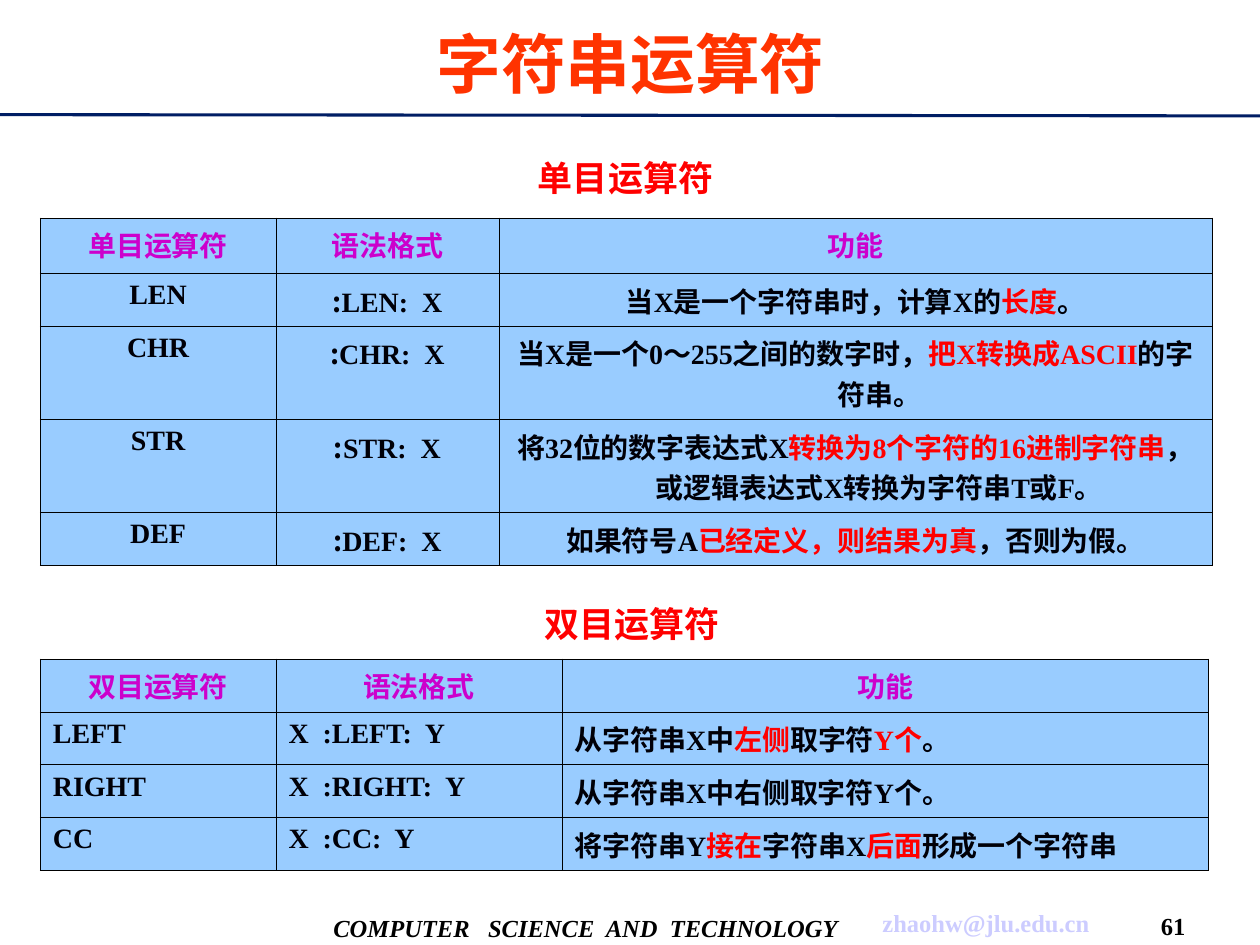
from itertools import groupby

from lxml import etree
from pptx import Presentation
from pptx import util as u
from pptx.dml.color import RGBColor
from pptx.enum import shapes, text
from pptx.oxml import ns

NAVY = RGBColor(0x00, 0x1E, 0x64)
ORANGE = RGBColor(0xFF, 0x33, 0x00)
RED = RGBColor(0xFF, 0x00, 0x00)
MAGENTA = RGBColor(0xCC, 0x00, 0xCC)
INK = RGBColor(0x00, 0x00, 0x08)
BLACK = RGBColor(0x00, 0x00, 0x00)
LILAC = RGBColor(0xCC, 0xCC, 0xFF)
SKY = RGBColor(0x99, 0xCC, 0xFF)

SERIF, SANS, CJK = "Times New Roman", "Arial", "Noto Sans CJK SC"
CENTER, LEFT = text.PP_ALIGN.CENTER, text.PP_ALIGN.LEFT


def add_run(p, content, size=16, font=SERIF, color=INK, italic=False):
    """Append one bold run with Latin and East Asian fonts."""
    r = p.add_run()
    r.text = content
    f = r.font
    f.size, f.name, f.bold, f.italic = u.Pt(size), font, True, italic
    f.color.rgb = color
    ea = etree.SubElement(r._r.get_or_add_rPr(), ns.qn("a:ea"))
    ea.set("typeface", CJK)


def add_mixed(p, content):
    """Words between asterisks are red; the font follows the script.

    A colon that opens the text takes the CJK font."""
    for i, part in enumerate(content.split("*")):
        wide = lambda item: ord(item[1]) > 0x2000 or item == (0, ":")
        for is_cjk, items in groupby(enumerate(part), wide):
            add_run(p, "".join(ch for _, ch in items),
                    font=CJK if is_cjk else SERIF, color=RED if i % 2 else INK)


class SlideBuilder:
    border = u.Pt(0.45)
    hanging = u.Inches(0.38)

    def __init__(self, prs):
        self.s = prs.slides.add_slide(prs.slide_layouts[5])

    def title(self, content, x, y, w, h):
        sp = self.s.shapes.title
        sp.left, sp.top, sp.width, sp.height = map(u.Inches, (x, y, w, h))
        tf = sp.text_frame
        tf.auto_size = text.MSO_AUTO_SIZE.NONE
        tf.vertical_anchor = text.MSO_ANCHOR.MIDDLE
        p = tf.paragraphs[0]
        p.alignment = CENTER
        add_run(p, content, size=37, color=ORANGE)

    def label(self, content, x, y, w, h, **fmt):
        sp = self.s.shapes.add_textbox(*map(u.Inches, (x, y, w, h)))
        tf = sp.text_frame
        tf.word_wrap = False
        tf.vertical_anchor = text.MSO_ANCHOR.MIDDLE
        p = tf.paragraphs[0]
        p.alignment = CENTER
        add_run(p, content, **fmt)

    def line(self, x1, y1, x2, y2):
        sp = self.s.shapes.add_connector(
            shapes.MSO_CONNECTOR.STRAIGHT, *map(u.Inches, (x1, y1, x2, y2)))
        sp.line.color.rgb, sp.line.width = NAVY, u.Pt(1.75)
        etree.SubElement(sp._element.spPr, ns.qn("a:effectLst"))

    def style_cell(self, cell):
        tc_pr = cell._tc.get_or_add_tcPr()
        for side in ("lnL", "lnR", "lnT", "lnB"):
            ln = etree.SubElement(tc_pr, ns.qn("a:" + side), w=str(self.border))
            fill = etree.SubElement(ln, ns.qn("a:solidFill"))
            etree.SubElement(fill, ns.qn("a:srgbClr"), val=str(BLACK))
        cell.fill.solid()
        cell.fill.fore_color.rgb = SKY

    def table(self, rows, x, y, widths, heights, body_align):
        size = map(u.Inches, (x, y, sum(widths), sum(heights)))
        tbl = self.s.shapes.add_table(len(rows), len(widths), *size).table
        tbl.first_row = tbl.horz_banding = False
        for col, w in zip(tbl.columns, widths):
            col.width = u.Inches(w)
        for row, h in zip(tbl.rows, heights):
            row.height = u.Inches(h)
        for i, values in enumerate(rows):
            for j, value in enumerate(values):
                cell = tbl.cell(i, j)
                self.style_cell(cell)
                p = cell.text_frame.paragraphs[0]
                p.alignment = body_align if i else CENTER
                p_pr = p._p.get_or_add_pPr()
                p_pr.set("marL", str(self.hanging))
                p_pr.set("indent", str(-self.hanging))
                if i:
                    add_mixed(p, value)
                else:
                    add_run(p, value, color=MAGENTA)


UNARY = [
    ("单目运算符", "语法格式", "功能"),
    ("LEN", ":LEN:  X", "当X是一个字符串时，计算X的*长度*。"),
    ("CHR", ":CHR:  X", "当X是一个0～255之间的数字时，*把X转换成ASCII*的字符串。"),
    ("STR", ":STR:  X",
     "将32位的数字表达式X*转换为8个字符的16进制字符串*，或逻辑表达式X转换为字符串T或F。"),
    ("DEF", ":DEF:  X", "如果符号A*已经定义，则结果为真*，否则为假。"),
]
BINARY = [
    ("双目运算符", "语法格式", "功能"),
    ("LEFT", "X  :LEFT:  Y", "从字符串X中*左侧*取字符*Y个*。"),
    ("RIGHT", "X  :RIGHT:  Y", "从字符串X中右侧取字符Y个。"),
    ("CC", "X  :CC:  Y", "将字符串Y*接在*字符串X*后面*形成一个字符串"),
]


def main():
    prs = Presentation()
    prs.slide_width, prs.slide_height = u.Inches(10), u.Inches(7.5)
    b = SlideBuilder(prs)

    # Heading and rule
    b.line(0, 0.91, 10, 0.92)
    b.title("字符串运算符", 0.32, 0.08, 9.37, 0.83)

    # Footer
    b.label("COMPUTER   SCIENCE  AND  TECHNOLOGY", 2.5, 7.15, 4.3, 0.42,
            size=14, color=BLACK, italic=True)
    b.label("zhaohw@jlu.edu.cn", 6.85, 7.14, 1.95, 0.36, size=14, color=LILAC)
    b.label("61", 9.09, 7.19, 0.44, 0.31, size=14, color=BLACK)

    # Operator tables with their captions
    caption = dict(size=20, font=SANS, color=RED)
    one_line, two_lines = 0.42, 0.74
    b.label("单目运算符", 4.17, 1.19, 1.59, 0.44, **caption)
    b.table(UNARY, 0.32, 1.73, (1.87, 1.77, 5.66),
            (0.44, one_line, two_lines, two_lines, one_line), CENTER)
    b.label("双目运算符", 4.22, 4.73, 1.59, 0.44, **caption)
    b.table(BINARY, 0.32, 5.23, (1.87, 2.27, 5.13),
            [one_line] * len(BINARY), LEFT)

    prs.save("out.pptx")


if __name__ == "__main__":
    main()
